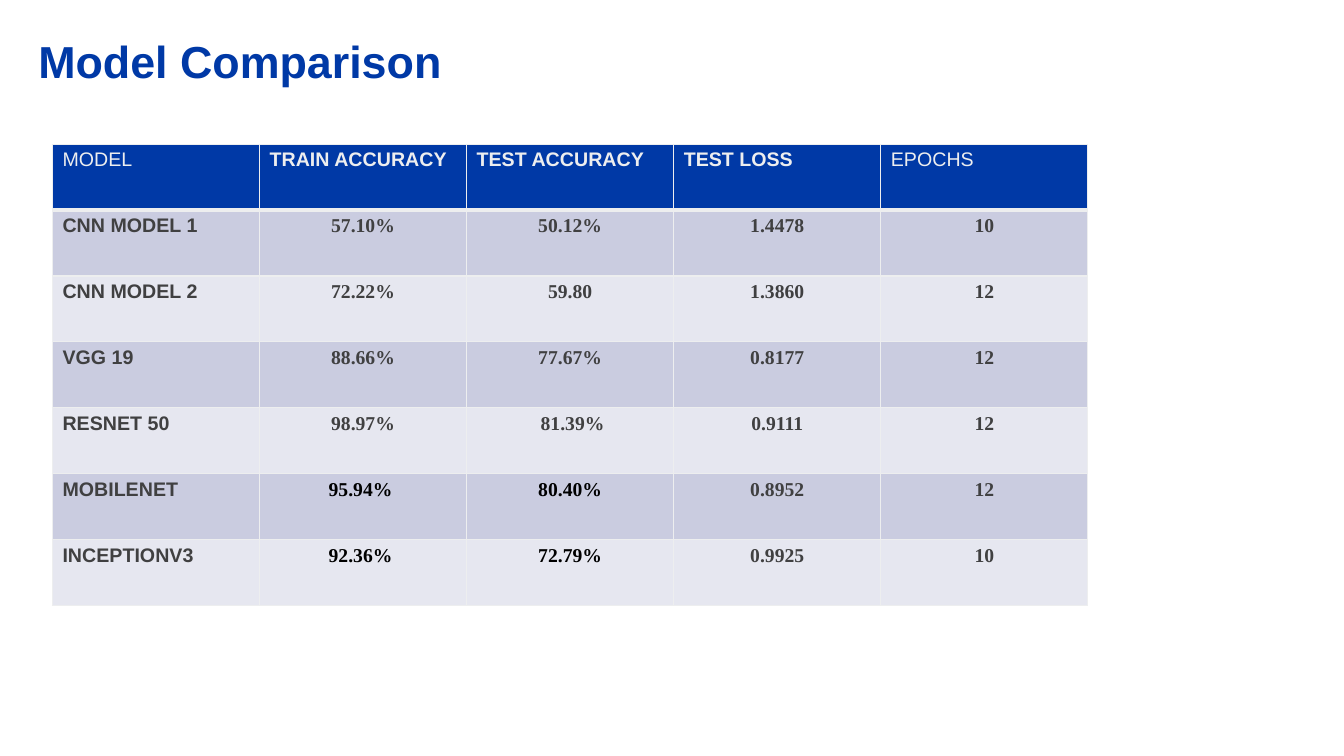
from dataclasses import dataclass

from lxml import etree
from pptx import Presentation
from pptx.dml.color import RGBColor
from pptx.enum.text import MSO_ANCHOR, PP_ALIGN
from pptx.oxml.ns import qn
from pptx.util import Inches, Pt

BOTTOM = MSO_ANCHOR.BOTTOM
LEFT, CENTER = PP_ALIGN.LEFT, PP_ALIGN.CENTER
BLANK_LAYOUT = 6


@dataclass(frozen=True)
class Theme:
    blue: str = "0039A6"
    pale: str = "EDEEEF"
    dark: str = "404041"
    black: str = "000000"
    bands: tuple = ("CACCE0", "E6E7F0")
    label_font: str = "Arial"
    value_font: str = "Times New Roman"
    title_size: int = 32
    table_size: int = 14
    thin_line: int = 1
    header_line: int = 3


THEME = Theme()

HEADERS = ["MODEL", "TRAIN ACCURACY", "TEST ACCURACY", "TEST LOSS", "EPOCHS"]
LIGHT_HEADERS = {"MODEL", "EPOCHS"}
RESULTS = [
    ["CNN MODEL 1", "57.10%", "50.12%", "1.4478", "10"],
    ["CNN MODEL 2", "72.22%", "59.80", "1.3860", "12"],
    ["VGG 19", "88.66%", "77.67%", "0.8177", "12"],
    ["RESNET 50", "98.97%", " 81.39%", "0.9111", "12"],
    ["MOBILENET", "95.94% ", "80.40%", "0.8952", "12"],
    ["INCEPTIONV3", "92.36% ", "72.79%", "0.9925", "10"],
]
BLACK_ACCURACY_MODELS = {"MOBILENET", "INCEPTIONV3"}
ACCURACY_COLUMNS = {1, 2}


def add_run(paragraph, text, size, font, color, bold=True):
    run = paragraph.add_run()
    run.text = text
    run.font.size = Pt(size)
    run.font.name = font
    run.font.bold = bold
    run.font.color.rgb = RGBColor.from_string(color)


def add_title(slide, text):
    title = slide.shapes.add_textbox(Inches(0.38), Inches(0.4), Inches(9.67), Inches(0.48))
    frame = title.text_frame
    frame.word_wrap = True
    frame.vertical_anchor = BOTTOM
    frame.margin_left = frame.margin_right = frame.margin_top = frame.margin_bottom = 0
    paragraph = frame.paragraphs[0]
    paragraph.line_spacing = 0.9
    add_run(paragraph, text, THEME.title_size, THEME.label_font, THEME.blue)


def set_borders(cell, top, bottom):
    """Draw the four cell edges; top and bottom are widths in points."""
    properties = cell._tc.get_or_add_tcPr()
    edges = {"a:lnL": THEME.thin_line, "a:lnR": THEME.thin_line, "a:lnT": top, "a:lnB": bottom}
    for position, (tag, width) in enumerate(edges.items()):
        line = etree.Element(qn(tag), w=str(Pt(width)))
        fill = etree.SubElement(line, qn("a:solidFill"))
        etree.SubElement(fill, qn("a:srgbClr"), val=THEME.pale)
        properties.insert(position, line)


def fill_cell(cell, text, fill, font, color, bold=True, align=LEFT,
              top=THEME.thin_line, bottom=THEME.thin_line):
    cell.fill.solid()
    cell.fill.fore_color.rgb = RGBColor.from_string(fill)
    set_borders(cell, top, bottom)
    paragraph = cell.text_frame.paragraphs[0]
    paragraph.alignment = align
    add_run(paragraph, text, THEME.table_size, font, color, bold)


def add_results_table(slide):
    table = slide.shapes.add_table(
        len(RESULTS) + 1, len(HEADERS),
        Inches(0.52), Inches(1.43), Inches(10.27), Inches(4.58),
    ).table
    for column, header in enumerate(HEADERS):
        fill_cell(table.cell(0, column), header, THEME.blue, THEME.label_font, THEME.pale,
                  bold=header not in LIGHT_HEADERS, bottom=THEME.header_line)
    for row, result in enumerate(RESULTS, start=1):
        band = THEME.bands[(row - 1) % 2]
        top = THEME.header_line if row == 1 else THEME.thin_line
        for column, text in enumerate(result):
            is_label = column == 0
            is_black = result[0] in BLACK_ACCURACY_MODELS and column in ACCURACY_COLUMNS
            fill_cell(table.cell(row, column), text, band,
                      THEME.label_font if is_label else THEME.value_font,
                      THEME.black if is_black else THEME.dark,
                      align=LEFT if is_label else CENTER, top=top)


def main():
    presentation = Presentation()
    presentation.slide_width = Inches(13.33)
    presentation.slide_height = Inches(7.5)
    slide = presentation.slides.add_slide(presentation.slide_layouts[BLANK_LAYOUT])
    add_title(slide, "Model Comparison")
    add_results_table(slide)
    presentation.save("out.pptx")


if __name__ == "__main__":
    main()
